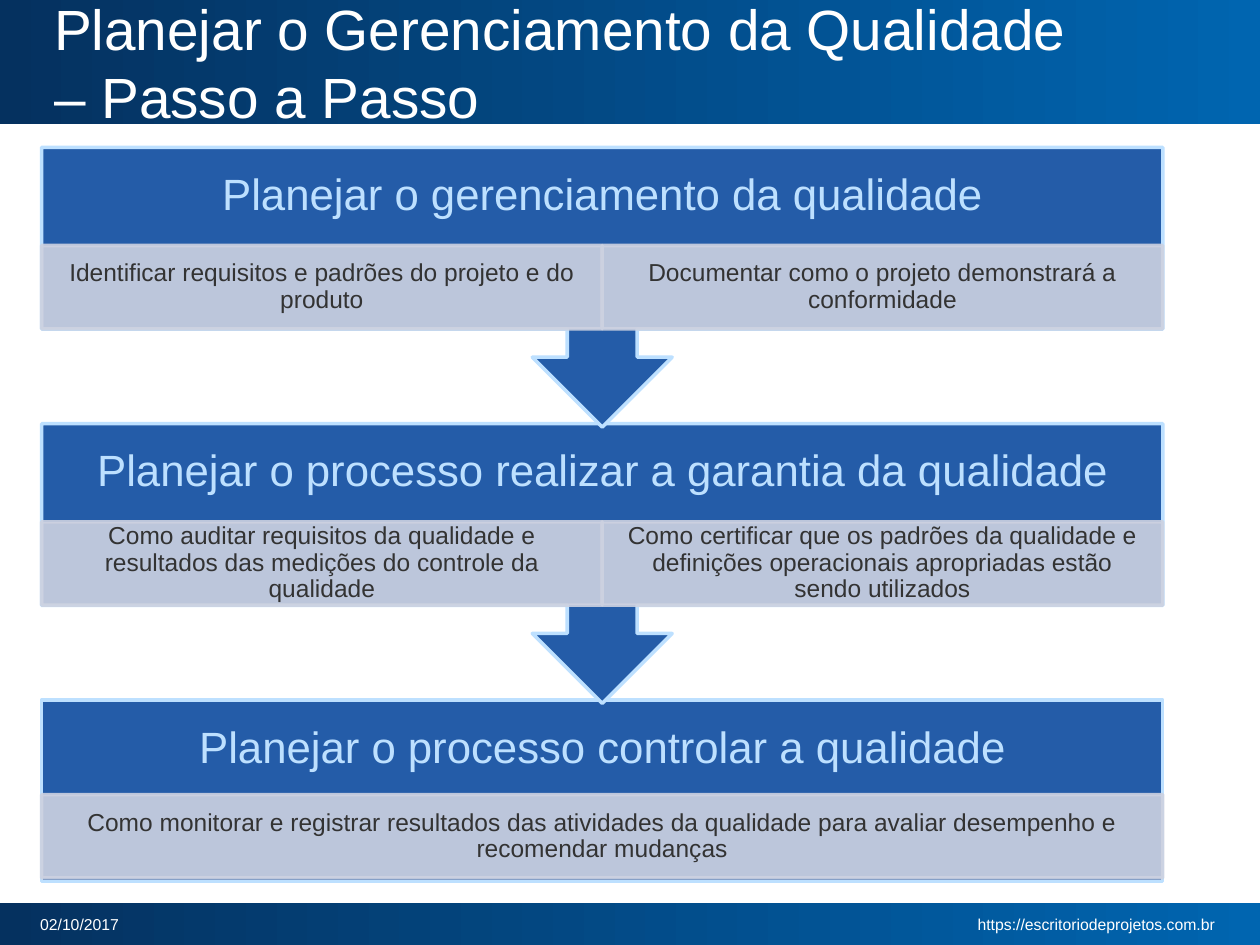
from lxml import etree
from pptx import Presentation
from pptx.dml.color import RGBColor
from pptx.enum.shapes import MSO_CONNECTOR as Connector, MSO_SHAPE as Shape
from pptx.enum.text import MSO_ANCHOR as Anchor, PP_ALIGN as Align
from pptx.oxml.ns import qn
from pptx.util import Cm, Pt

color = RGBColor.from_string


def write(shape, text, size, hex_color, align, side=0, edge=0, spacing=None):
    frame = shape.text_frame
    frame.word_wrap = True
    frame.vertical_anchor = Anchor.MIDDLE
    frame.margin_left = frame.margin_right = Cm(side)
    frame.margin_top = frame.margin_bottom = Cm(edge)
    para = frame.paragraphs[0]
    para.alignment = align
    para.line_spacing = spacing
    span = para.add_run()
    span.text = text
    span.font.name = "Arial"
    span.font.size = Pt(size)
    span.font.color.rgb = color(hex_color)


def add_panel(kind, left, top, width, height, fill, line):
    panel = slide.shapes.add_shape(kind, Cm(left), Cm(top), Cm(width), Cm(height))
    panel.shadow.inherit = False
    panel.fill.solid()
    panel.fill.fore_color.rgb = color(fill)
    panel.line.color.rgb = color(line)
    panel.line.width = Pt(2)
    return panel


deck = Presentation()
deck.slide_width, deck.slide_height = Cm(25.4), Cm(19.05)
slide = deck.slides.add_slide(deck.slide_layouts[5])

for top, height in [(0, 2.51), (18.21, 0.84)]:
    band = slide.shapes.add_shape(Shape.RECTANGLE, 0, Cm(top), Cm(25.4), Cm(height))
    band.shadow.inherit = False
    band.line.fill.background()
    band.fill.gradient()
    band.fill.gradient_angle = 0
    for stop, hex_color in zip(band.fill.gradient_stops, ["05315F", "0065B0"]):
        stop.color.rgb = color(hex_color)

rule = slide.shapes.add_connector(Connector.STRAIGHT, Cm(25.4), Cm(2.51), 0, Cm(2.51))
rule.line.color.rgb = color("FFFFFF")
rule.line.width = Pt(1)
etree.SubElement(rule._element.spPr, qn("a:effectLst"))

footers = [
    ("02/10/2017", 0.81, 3.07, Align.LEFT),
    ("https://escritoriodeprojetos.com.br", 10.95, 13.54, Align.RIGHT),
]
for text, left, width, align in footers:
    box = slide.shapes.add_textbox(Cm(left), Cm(18.42), Cm(width), Cm(0.42))
    write(box, text, 9, "FFFFFF", align)

title = slide.shapes.title
title.left, title.top, title.width, title.height = Cm(0.84), Cm(0.2), Cm(21.13), Cm(2.11)
write(title, "Planejar o Gerenciamento da Qualidade – Passo a Passo", 32.4, "FFFFFF",
      Align.LEFT, 0.25, 0.13)
slide.shapes._spTree.append(title._element)

steps = [
    ("Planejar o gerenciamento da qualidade", [
        "Identificar requisitos e padrões do projeto e do produto",
        "Documentar como o projeto demonstrará a conformidade",
    ]),
    ("Planejar o processo realizar a garantia da qualidade", [
        "Como auditar requisitos da qualidade e resultados das medições do controle da qualidade",
        "Como certificar que os padrões da qualidade e definições operacionais apropriadas "
        "estão sendo utilizados",
    ]),
    ("Planejar o processo controlar a qualidade", [
        "Como monitorar e registrar resultados das atividades da qualidade para avaliar "
        "desempenho e recomendar mudanças",
    ]),
]
step_left, step_width, header_height = 0.84, 22.6, 1.98

for index, (heading, details) in reversed(list(enumerate(steps))):
    step_top = 2.97 + 5.57 * index
    if index == len(steps) - 1:
        kind, height, detail_offset = Shape.RECTANGLE, 3.66, 1.91
    else:
        kind, height, detail_offset = Shape.UP_ARROW_CALLOUT, 5.64, header_height
    panel = add_panel(kind, step_left, step_top, step_width, height, "245CA8", "BDE0FF")
    if kind == Shape.UP_ARROW_CALLOUT:
        panel.rotation = 180

    box = slide.shapes.add_textbox(Cm(step_left), Cm(step_top), Cm(step_width), Cm(header_height))
    write(box, heading, 25, "BDE0FF", Align.CENTER, 0.48, 0.48, 0.9)

    detail_width = step_width / len(details)
    for column, detail in enumerate(details):
        cell = add_panel(Shape.RECTANGLE, step_left + column * detail_width,
                         step_top + detail_offset, detail_width, 1.68, "CDD2E1", "CDD2E1")
        for tint in cell._element.spPr.iter(qn("a:srgbClr")):
            etree.SubElement(tint, qn("a:alpha"), val="90000")
        write(cell, detail, 14, "333333", Align.CENTER, 0.28, 0.05, 0.9)

deck.save("out.pptx")
